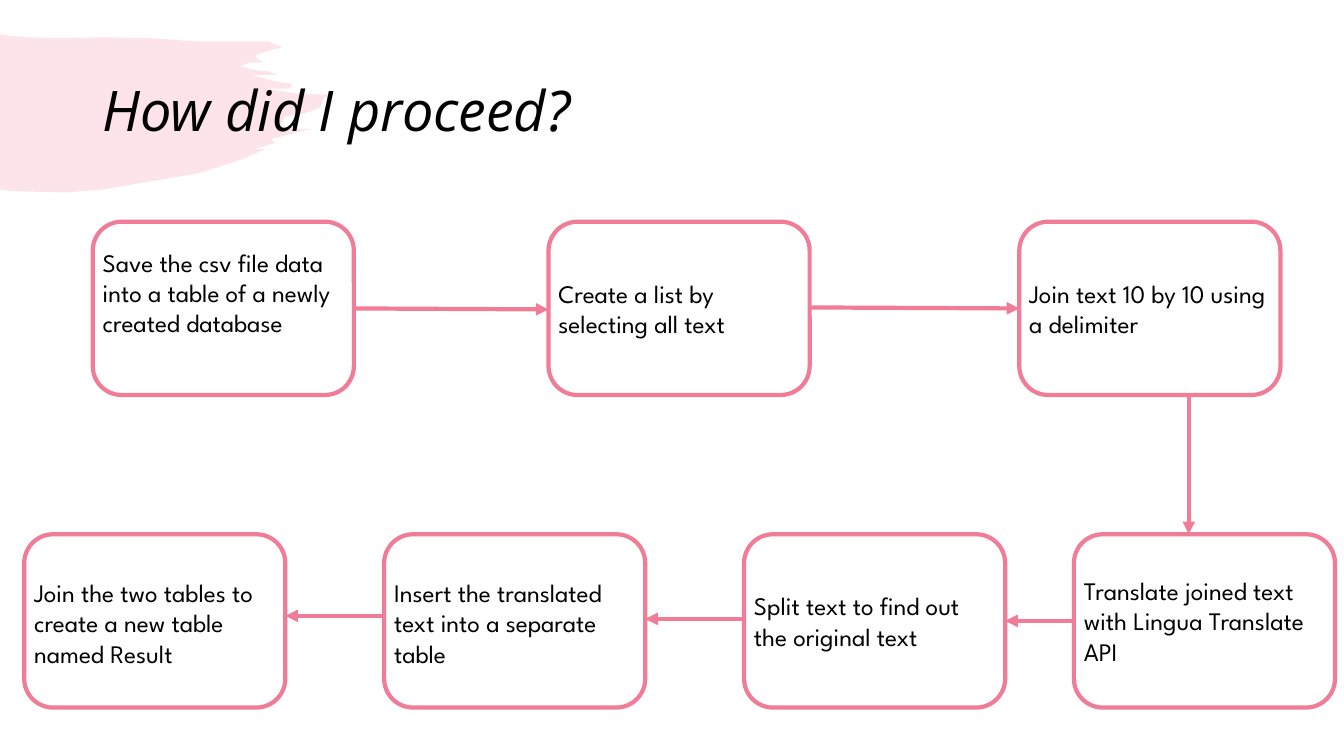
from dataclasses import dataclass
from itertools import pairwise

from lxml.etree import SubElement
from pptx import Presentation
from pptx.dml.color import RGBColor as Rgb
from pptx.enum.shapes import MSO_CONNECTOR as Link, MSO_SHAPE as Form
from pptx.enum.text import MSO_ANCHOR as Anchor, MSO_AUTO_SIZE as Fit, PP_ALIGN as Align
from pptx.oxml.ns import qn
from pptx.util import Inches, Pt

WIDE, HIGH = Inches(13.33), Inches(7.5)


@dataclass(frozen=True)
class Theme:
    pink: Rgb = Rgb(0xF0, 0x7C, 0x98)
    ink: Rgb = Rgb(0, 0, 0)
    head: str = "Open Sans"
    body: str = "League Spartan"
    big: int = 40
    small: int = 18
    rule: int = 3
    tint: int = 20


THEME = Theme()

# Grid of 100 columns by 100 rows
BOX_W, BOX_H = 19.43, 22.93
TOP, LOW = 29.33, 70.67

# Steps in order: column, row, drop of the text below the box top, wording
STEPS = [
    (6.9, TOP, 2.67, "Save the csv file data into a table of a newly created database"),
    (40.81, TOP, 6.8, "Create a list by selecting all text"),
    (75.84, TOP, 6.8, "Join text 10 by 10 using a delimiter"),
    (79.9, LOW, 4.8, "Translate joined text with Lingua Translate API"),
    (55.36, LOW, 6.8, "Split text to find out the original text"),
    (28.58, LOW, 5.07, "Insert the translated text into a separate table"),
    (1.8, LOW, 5.07, "Join the two tables to create a new table named Result"),
]

# Start and end level of each arrow; the turn down has one column instead
LEVELS = [(40.8, 40.93), (40.67, 40.8), None,
          (82.13, 82.13), (81.87, 81.87), (81.47, 81.47)]
TURN = 88.45

# Outline of the brush stroke, in hundredths of an inch
BRUSH = [
    (0, 34), (6, 35), (25, 37), (66, 38), (102, 37), (151, 38), (194, 41),
    (248, 41), (266, 41), (280, 47), (271, 49), (255, 54), (253, 57), (256, 59),
    (262, 62), (247, 62), (238, 66), (246, 68), (256, 70), (266, 71), (275, 74),
    (251, 75), (263, 78), (273, 81), (280, 82), (288, 83), (290, 85), (287, 88),
    (284, 88), (263, 88), (295, 93), (330, 94), (321, 97), (318, 106), (307, 111),
    (300, 113), (283, 116), (280, 120), (278, 125), (274, 128), (308, 128),
    (289, 133), (269, 138), (273, 142), (252, 148), (263, 148), (240, 158),
    (197, 172), (102, 188), (65, 191), (23, 190), (7, 189), (0, 188),
]


def col(n):
    return round(WIDE * n / 100)


def row(n):
    return round(HIGH * n / 100)


def write(frame, text, *, font, size, italic=False, space=None):
    frame.word_wrap = True
    para = frame.paragraphs[0]
    para.alignment = Align.LEFT
    para.line_spacing = space
    run = para.add_run()
    run.text = text
    face = run.font
    face.name, face.size, face.italic = font, Pt(size), italic
    face.color.rgb = THEME.ink


def stroke(line):
    line.color.rgb = THEME.pink
    line.width = Pt(THEME.rule)


def title(slide, text):
    box = slide.shapes.title
    box.left, box.top, box.width, box.height = col(6.9), row(5.33), col(86.27), row(19.33)
    box.text_frame.vertical_anchor = Anchor.MIDDLE
    write(box.text_frame, text, font=THEME.head, size=THEME.big, italic=True, space=0.9)


def brush(slide):
    pen = slide.shapes.build_freeform(*BRUSH[0], scale=Inches(1) / 100)
    pen.add_line_segments(BRUSH[1:], close=True)
    shape = pen.convert_to_shape()
    shape.shadow.inherit = False
    shape.line.fill.background()
    shape.fill.solid()
    shape.fill.fore_color.rgb = THEME.pink
    tone = shape.fill._xPr.find(qn("a:solidFill"))[0]
    SubElement(tone, qn("a:alpha"), val=str(THEME.tint * 1000))
    # Send the stroke behind the title
    slide.shapes.title._element.addprevious(shape._element)


def step(slide, x, y, drop, text):
    box = slide.shapes.add_shape(Form.ROUNDED_RECTANGLE, col(x), row(y), col(BOX_W), row(BOX_H))
    box.shadow.inherit = False
    box.fill.background()
    stroke(box.line)
    label = slide.shapes.add_textbox(col(x), row(y + drop), col(BOX_W), row(BOX_H - 2 * drop))
    label.text_frame.auto_size = Fit.SHAPE_TO_FIT_TEXT
    write(label.text_frame, text, font=THEME.body, size=THEME.small)


def arrow(slide, x1, y1, x2, y2):
    link = slide.shapes.add_connector(Link.STRAIGHT, col(x1), row(y1), col(x2), row(y2))
    stroke(link.line)
    SubElement(link.line._get_or_add_ln(), qn("a:tailEnd"), type="triangle")
    SubElement(link._element.spPr, qn("a:effectLst"))


def join(slide, here, there, level):
    (x1, y1), (x2, y2) = here[:2], there[:2]
    if level is None:
        arrow(slide, TURN, y1 + BOX_H, TURN, y2)
    elif x1 < x2:
        arrow(slide, x1 + BOX_W, level[0], x2, level[1])
    else:
        arrow(slide, x1, level[0], x2 + BOX_W, level[1])


def main():
    deck = Presentation()
    deck.slide_width, deck.slide_height = WIDE, HIGH
    slide = deck.slides.add_slide(deck.slide_layouts[5])

    # Heading
    title(slide, "How did I proceed?")
    brush(slide)

    # Flow of steps
    for item in STEPS:
        step(slide, *item)
    for (here, there), level in zip(pairwise(STEPS), LEVELS):
        join(slide, here, there, level)

    deck.save("out.pptx")


if __name__ == "__main__":
    main()
